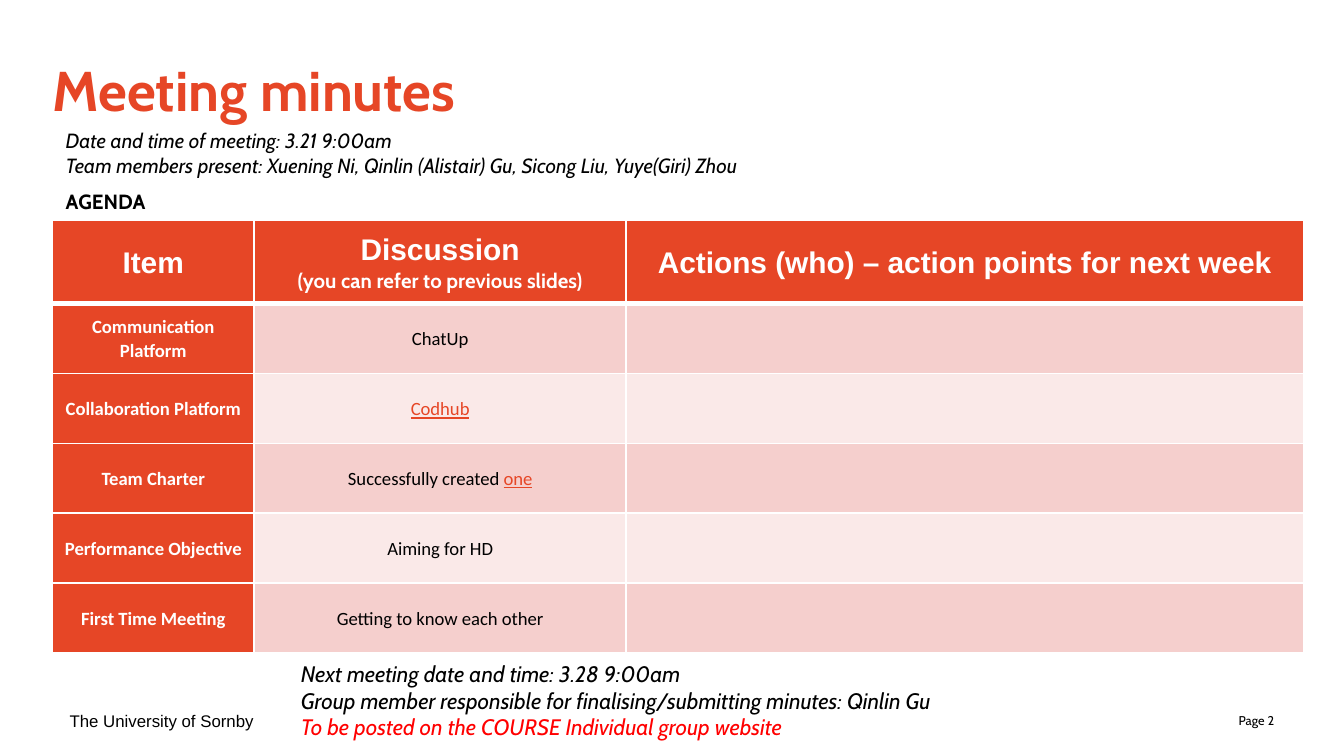
import lxml.etree
import pptx
import pptx.dml.color
import pptx.enum.text
import pptx.oxml.ns
import pptx.util

ALIGN = pptx.enum.text.PP_ALIGN
ANCHOR = pptx.enum.text.MSO_ANCHOR
INCH = pptx.util.Inches

WIDE = 10
HIGH = WIDE * 9 / 16
LEFT = 0.39
RED, BLACK, WHITE = "E64626", "000000", "FFFFFF"
BANDS = ["F5CFCD", "FAE9E8"]

NOTE = dict(name="Cabin", size=11, color=BLACK, italic=True)
NEXT = {**NOTE, "size": 12}
HEAD = dict(name="Arial", size=16, color=WHITE, bold=True)
SUB = {**HEAD, "name": "Cabin", "size": 11}
ITEM = dict(name="Calibri", size=10, color=WHITE, bold=True)
BODY = {**ITEM, "color": BLACK, "bold": False}
LINK = {**BODY, "color": RED, "underline": True}

# A text is a list of paragraphs; a paragraph is a list of (words, format).
# Each box: left, top, width, height, anchor, alignment, inset, text
FRAME = [
    (7.25, 5.21, 2.33, 0.3, ANCHOR.MIDDLE, ALIGN.RIGHT, None,
     [[("Page 2", dict(name="Cabin", size=6.8, color=BLACK))]]),
    (0.42, 5.21, 2.33, 0.3, ANCHOR.MIDDLE, ALIGN.LEFT, None,
     [[("The University of Sornby", dict(name="Arial", size=9, color=BLACK))]]),
    (LEFT, 0.41, 9.22, 0.53, ANCHOR.TOP, ALIGN.LEFT, 0,
     [[("Meeting minutes", dict(name="Cabin", size=30, color=RED, bold=True))]]),
]
NOTES = [
    (LEFT, 0.9, 5.7, 0.74, ANCHOR.MIDDLE, ALIGN.LEFT, None,
     [[("Date and time of meeting: 3.21 9:00am", NOTE)],
      [("Team members present: Xuening Ni, Qinlin (Alistair) Gu, "
        "Sicong Liu, Yuye(Giri) Zhou", NOTE)],
      [("AGENDA", {**NOTE, "italic": False, "bold": True})]]),
    (2.14, 4.86, 5, 0.71, ANCHOR.TOP, ALIGN.LEFT, None,
     [[("Next meeting date and time: 3.28 9:00am", NEXT)],
      [("Group member responsible for finalising/submitting minutes: Qinlin Gu", NEXT)],
      [("To be posted on the COURSE Individual group website",
        {**NEXT, "color": "FF0000"})]]),
]

TOP = 1.64
COLS = [1.5, 2.77, 5.04]
ROWS = [0.62] + [0.52] * 5
HEADS = [
    [[("Item", HEAD)]],
    [[("Discussion", HEAD)], [("(you can refer to previous slides)", SUB)]],
    [[("Actions (who) – action points for next week", HEAD)]],
]
TOPICS = [
    ("Communication Platform", [("ChatUp", BODY)]),
    ("Collaboration Platform", [("Codhub", LINK)]),
    ("Team Charter", [("Successfully created ", BODY), ("one", LINK)]),
    ("Performance Objective", [("Aiming for HD", BODY)]),
    ("First Time Meeting", [("Getting to know each other", BODY)]),
]


def rgb(code):
    return pptx.dml.color.RGBColor.from_string(code)


def write(frame, text, align, space=None):
    for n, runs in enumerate(text):
        para = frame.paragraphs[0] if n == 0 else frame.add_paragraph()
        para.alignment = align
        para.line_spacing = space
        for words, style in runs:
            run = para.add_run()
            run.text = words
            for key, value in style.items():
                if key == "color":
                    run.font.color.rgb = rgb(value)
                elif key == "size":
                    run.font.size = pptx.util.Pt(value)
                else:
                    setattr(run.font, key, value)


def edge(cell, side, width):
    """Draw one white border of a cell, width in points."""
    qn = pptx.oxml.ns.qn
    line = lxml.etree.SubElement(cell._tc.get_or_add_tcPr(), qn("a:ln" + side),
                                 w=str(pptx.util.Pt(width)))
    fill = lxml.etree.SubElement(line, qn("a:solidFill"))
    lxml.etree.SubElement(fill, qn("a:srgbClr"), val=WHITE)


def add_box(slide, left, top, width, height, anchor, align, inset, text):
    box = slide.shapes.add_textbox(*map(INCH, (left, top, width, height)))
    frame = box.text_frame
    frame.word_wrap = True
    frame.vertical_anchor = anchor
    if inset is not None:
        for side in ("left", "top", "right", "bottom"):
            setattr(frame, "margin_" + side, INCH(inset))
    write(frame, text, align)
    return frame


def add_agenda(slide):
    grid = [HEADS] + [[[[(item, ITEM)]], [talk], []] for item, talk in TOPICS]
    table = slide.shapes.add_table(
        len(ROWS), len(COLS), INCH(LEFT), INCH(TOP),
        INCH(sum(COLS)), INCH(sum(ROWS))).table
    for col, width in zip(table.columns, COLS):
        col.width = INCH(width)
    for row, height in zip(table.rows, ROWS):
        row.height = INCH(height)
    for r, texts in enumerate(grid):
        for c, text in enumerate(texts):
            cell = table.cell(r, c)
            for side in "LRTB":
                thick = (r, side) in [(0, "B"), (1, "T")]
                edge(cell, side, 3 if thick else 1)
            cell.fill.solid()
            red = r == 0 or c == 0
            cell.fill.fore_color.rgb = rgb(RED if red else BANDS[(r - 1) % 2])
            cell.vertical_anchor = ANCHOR.MIDDLE
            cell.margin_left = cell.margin_right = INCH(0.09)
            cell.margin_top = cell.margin_bottom = 0
            write(cell.text_frame, text, ALIGN.CENTER, 1.07)


def main():
    deck = pptx.Presentation()
    deck.slide_width, deck.slide_height = INCH(WIDE), INCH(HIGH)
    slide = deck.slides.add_slide(deck.slide_layouts[6])
    for box in FRAME:
        add_box(slide, *box)
    add_agenda(slide)
    intro, _ = [add_box(slide, *box) for box in NOTES]
    intro.paragraphs[-1].space_before = pptx.util.Pt(6)
    deck.save("out.pptx")


if __name__ == "__main__":
    main()
